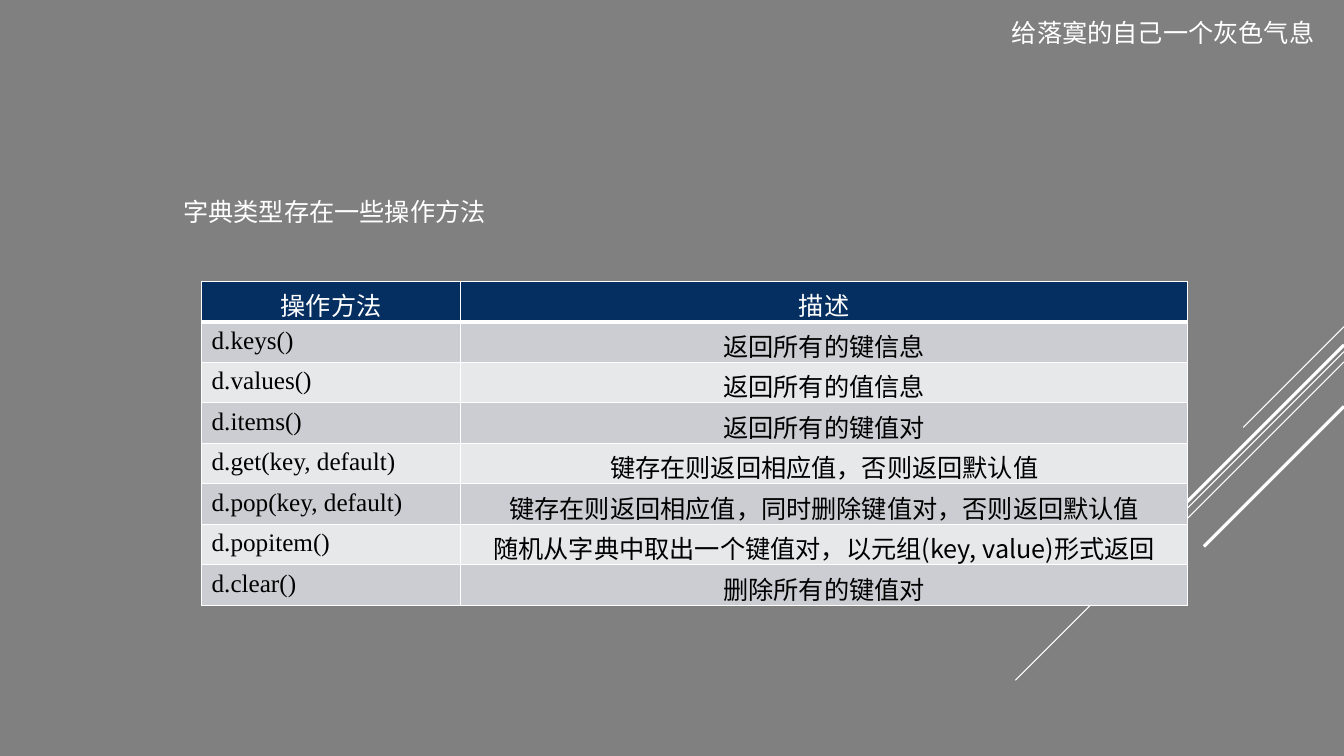
"""Build a slide that lists the methods of the dictionary type."""
from lxml import etree
from pptx import Presentation
from pptx.dml.color import RGBColor
from pptx.enum.shapes import MSO_CONNECTOR
from pptx.enum.text import MSO_AUTO_SIZE, PP_ALIGN
from pptx.oxml.ns import qn
from pptx.util import Cm, Pt

STRAIGHT = MSO_CONNECTOR.STRAIGHT
LEFT, CENTER = PP_ALIGN.LEFT, PP_ALIGN.CENTER
FIT = MSO_AUTO_SIZE.SHAPE_TO_FIT_TEXT

WHITE = RGBColor(0xFF, 0xFF, 0xFF)
BLACK = RGBColor(0, 0, 0)
GRAY = RGBColor(0x80, 0x80, 0x80)
NAVY = RGBColor(0x05, 0x2F, 0x61)
BANDS = (RGBColor(0xE7, 0xE8, 0xEA), RGBColor(0xCC, 0xCD, 0xD2))

SPARTAN = "League Spartan"
NOTO = "Noto Sans CJK SC"
TIMES = "Times New Roman"

WIDTH, HEIGHT = 33.87, 19.05
COLS = (6.53, 18.32)
ROW = 1.02

RAYS = (
    (8.23, 2.54, 0.75),
    (8.86, 8.28, 0.75),
    (9.12, 5.26, 0.75),
    (8.69, 4.85, 2.25),
    (10.24, 3.53, 2.25),
)

METHODS = (
    ("操作方法", "描述"),
    ("d.keys()", "返回所有的键信息"),
    ("d.values()", "返回所有的值信息"),
    ("d.items()", "返回所有的键值对"),
    ("d.get(key, default)", "键存在则返回相应值，否则返回默认值"),
    ("d.pop(key, default)", "键存在则返回相应值，同时删除键值对，否则返回默认值"),
    ("d.popitem()", "随机从字典中取出一个键值对，以元组(key, value)形式返回"),
    ("d.clear()", "删除所有的键值对"),
)


def set_text(frame, text, face, color, align=LEFT):
    """Fill a text frame with one styled paragraph."""
    para = frame.paragraphs[0]
    para.text = text
    para.alignment = align
    para.font.name = face
    para.font.size = Pt(18)
    para.font.bold = False
    para.font.color.rgb = color


def add_ray(slide, top, span, weight):
    """Draw a diagonal line down and left from the right slide edge."""
    ray = slide.shapes.add_connector(
        STRAIGHT, Cm(WIDTH), Cm(top), Cm(WIDTH - span), Cm(top + span))
    ray.line.color.rgb = WHITE
    ray.line.width = Pt(weight)
    etree.SubElement(ray._element.spPr, qn("a:effectLst"))


def add_label(slide, left, top, text):
    """Add a one-line white text box."""
    frame = slide.shapes.add_textbox(
        Cm(left), Cm(top), Cm(8.2), Cm(1.02)).text_frame
    frame.word_wrap = False
    frame.auto_size = FIT
    set_text(frame, text, SPARTAN, WHITE)


def add_edge(cell, side, weight):
    """Give one side of a cell a white border."""
    edge = etree.SubElement(cell._tc.get_or_add_tcPr(), qn(f"a:ln{side}"),
                            w=str(Pt(weight)))
    fill = etree.SubElement(edge, qn("a:solidFill"))
    etree.SubElement(fill, qn("a:srgbClr"), val=str(WHITE))


def style_cell(cell, row, col, text):
    """Set the borders, fill and text of a cell by its place."""
    head = row == 0
    heavy = {"T": row == 1, "B": head}
    for side in "LRTB":
        add_edge(cell, side, 3 if heavy.get(side) else 1)
    cell.fill.solid()
    cell.fill.fore_color.rgb = NAVY if head else BANDS[row % 2]
    cell.margin_bottom = 0
    first = SPARTAN if head else TIMES
    set_text(cell.text_frame, text, NOTO if col else first,
             WHITE if head else BLACK, CENTER if head or col else LEFT)


def add_grid(slide, left, top):
    """Add the table of methods."""
    count = len(METHODS)
    grid = slide.shapes.add_table(
        count, len(COLS), Cm(left), Cm(top),
        Cm(sum(COLS)), Cm(ROW * count)).table
    for col, width in enumerate(COLS):
        grid.columns[col].width = Cm(width)
    for row, texts in enumerate(METHODS):
        grid.rows[row].height = Cm(ROW)
        for col, text in enumerate(texts):
            style_cell(grid.cell(row, col), row, col, text)


def main():
    """Build and save the slide."""
    deck = Presentation()
    deck.slide_width, deck.slide_height = Cm(WIDTH), Cm(HEIGHT)
    slide = deck.slides.add_slide(deck.slide_layouts[6])
    slide.background.fill.solid()
    slide.background.fill.fore_color.rgb = GRAY
    for ray in RAYS:
        add_ray(slide, *ray)
    add_label(slide, 25.25, 0.3, "给落寞的自己一个灰色气息")
    add_label(slide, 4.37, 4.83, "字典类型存在一些操作方法")
    add_grid(slide, 5.08, 7.09)
    deck.save("out.pptx")


if __name__ == "__main__":
    main()
